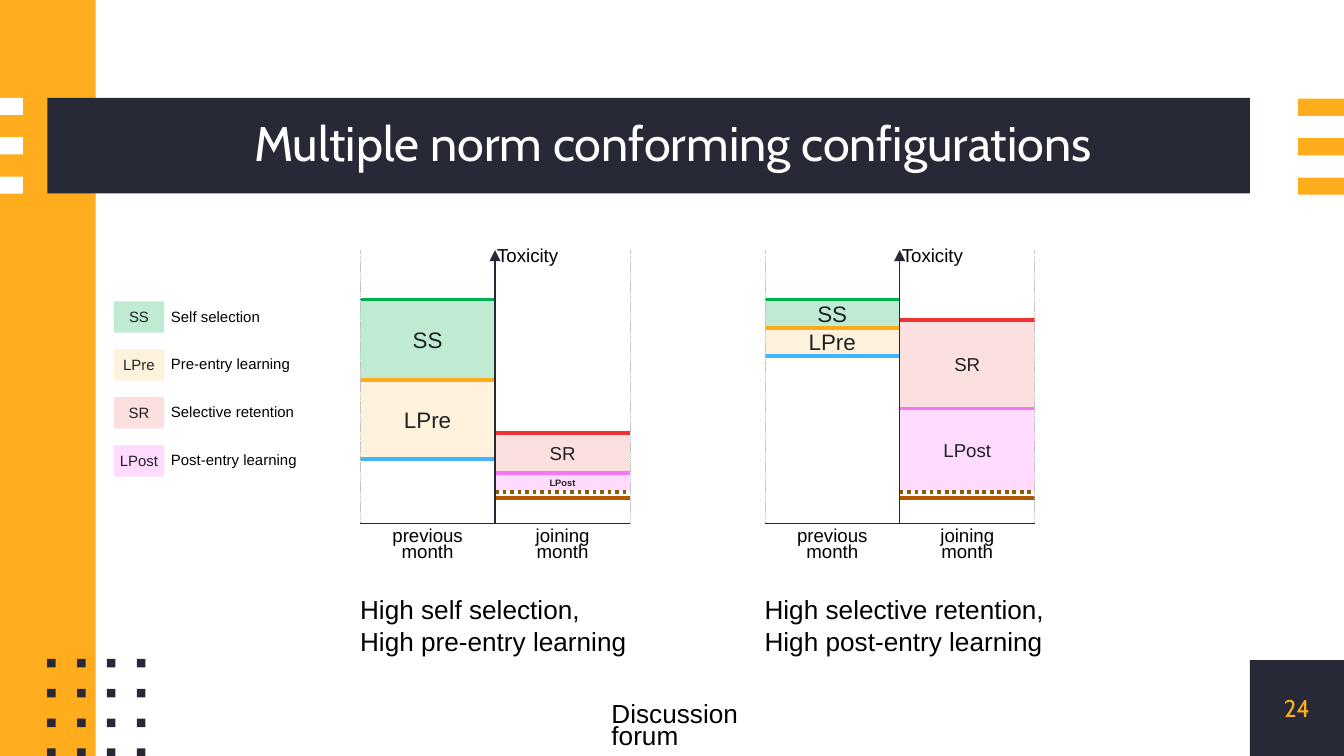
import pptx
import pptx.util
import pptx.dml.color
import pptx.enum.dml
import pptx.enum.shapes
import pptx.enum.text
import pptx.oxml
import pptx.oxml.ns

Pt = pptx.util.Pt
color = pptx.dml.color.RGBColor.from_string
align = pptx.enum.text.PP_ALIGN
anchor = pptx.enum.text.MSO_ANCHOR
dash = pptx.enum.dml.MSO_LINE
xml_names = pptx.oxml.ns.nsdecls("a")

navy, orange, white, black, ink = "272A36", "FFAD1D", "FFFFFF", "000000", "202125"
band_fills = {"SS": "00B050", "LPre": "FFCE77", "SR": "F68383", "LPost": "FF74FF"}

deck = pptx.Presentation()
deck.slide_width, deck.slide_height = Pt(720), Pt(405)
page = deck.slides.add_slide(deck.slide_layouts[6])


def add_box(place, fill=None, opacity=100, lines=(), size=10, ink=black, font="Arial",
            bold=False, alignment=align.CENTER, spacing=1.0, middle=True, inset=(0, 0), wrap=True):
    lengths = [Pt(value) for value in place]
    if fill:
        box = page.shapes.add_shape(pptx.enum.shapes.MSO_SHAPE.RECTANGLE, *lengths)
        box.shadow.inherit = False
        box.line.fill.background()
        box.fill.solid()
        box.fill.fore_color.rgb = color(fill)
        if opacity < 100:
            tint = box.fill._xPr.find(".//" + pptx.oxml.ns.qn("a:srgbClr"))
            tint.append(pptx.oxml.parse_xml(f'<a:alpha {xml_names} val="{opacity * 1000}"/>'))
    else:
        box = page.shapes.add_textbox(*lengths)
    frame = box.text_frame
    frame_format = {
        "margin_left": Pt(inset[0]), "margin_right": Pt(inset[0]),
        "margin_top": Pt(inset[1]), "margin_bottom": Pt(inset[1]),
        "vertical_anchor": anchor.MIDDLE if middle else anchor.TOP, "word_wrap": wrap,
    }
    for key, value in frame_format.items():
        setattr(frame, key, value)
    for index, line in enumerate(lines):
        para = frame.add_paragraph() if index else frame.paragraphs[0]
        para.alignment, para.line_spacing = alignment, spacing
        span = para.add_run()
        span.text = line
        for key, value in {"size": Pt(size), "name": font, "bold": bold}.items():
            setattr(span.font, key, value)
        span.font.color.rgb = color(ink)


def add_line(start, end, stroke, width, style=None, arrow=False):
    line = page.shapes.add_connector(
        pptx.enum.shapes.MSO_CONNECTOR.STRAIGHT, *[Pt(value) for value in (*start, *end)])
    line.line.color.rgb = color(stroke)
    line.line.width = Pt(width)
    if style:
        line.line.dash_style = style
    if arrow:
        line.line._get_or_add_ln().append(
            pptx.oxml.parse_xml(f'<a:tailEnd {xml_names} type="triangle"/>'))
    line._element.spPr.append(pptx.oxml.parse_xml(f"<a:effectLst {xml_names}/>"))


add_box((0, 0, 51.3, 405), orange)
add_box((25.3, 52.4, 644.3, 51.3), navy)
for row in range(3):
    add_box((0, 52.4 + 21.1 * row, 12.3, 9.2), white)
    add_box((695.4, 52.9 + 21.1 * row, 24.6, 9.2), orange)
for row in range(4):
    for column in range(4):
        add_box((25.3 + 16 * column, 353 + 16 * row, 4.6, 4.6), navy)

add_box((51.8, 52.4, 617.8, 51.3), lines=["Multiple norm conforming configurations"],
        size=26, ink=white, font="Cabin", spacing=0.9)
add_box((669.6, 353.6, 50.4, 51.4), navy, lines=["24"], size=13, ink=orange, font="Cabin")

top, bottom, half = 134, 280.6, 72.3
charts = [
    {"left": 192.9, "pre": (160.5, 203.5, 246), "post": (232.1, 253.4, 263.6),
     "post_text": ((10, False), (5, True)),
     "caption": ["High self selection,", "High pre-entry learning"],
     "caption_place": (185.8, 314.6, 157.7, 41)},
    {"left": 409.7, "pre": (160.5, 175.8, 190.7), "post": (171.6, 218.9, 263.6),
     "post_text": ((10, False), (10, False)),
     "caption": ["High selective retention,", "High post-entry learning"],
     "caption_place": (402.5, 314.6, 169.2, 41)},
]
for chart in charts:
    left = chart["left"]
    axis, right = left + half, left + 2 * half
    columns = [
        (left, chart["pre"], ("SS", "LPre"), ((12, False), (12, False)),
         ("00B050", "FFAB17", "41B5FF"), ["previous", "month"]),
        (axis, chart["post"], ("SR", "LPost"), chart["post_text"],
         ("F03131", "F575FB", "8E5A00"), ["joining", "month"]),
    ]
    for start, levels, names, texts, strokes, months in columns:
        for name, (size, bold), upper, lower in zip(names, texts, levels, levels[1:]):
            add_box((start, upper + 0.7, half, lower - upper - 1.4), band_fills[name], 25,
                    [name], size, ink, bold=bold)
        for level, stroke in zip(levels, strokes):
            style = dash.ROUND_DOT if stroke == "8E5A00" else None
            add_line((start, level), (start + half, level), stroke, 2, style)
        add_box((start, 283.9, half, 17.3), lines=months, spacing=0.7, middle=False)
    add_line((axis, 266.6), (right, 266.6), "B05900", 2)
    for edge in (left, right):
        add_line((edge, top), (edge, bottom), "C4C4C4", 0.25, dash.SQUARE_DOT)
    add_line((left, bottom), (right, bottom), navy, 0.75)
    add_line((axis, bottom), (axis, top), navy, 0.75, arrow=True)
    add_box((axis + 1.2, top, 55.4, 8.6), lines=["Toxicity"], alignment=align.LEFT,
            spacing=0.7, middle=False)
    add_box(chart["caption_place"], lines=chart["caption"], size=14, alignment=align.LEFT,
            middle=False, inset=(7.2, 3.6), wrap=False)

legend = [("SS", "Self selection", 62.6), ("LPre", "Pre-entry learning", 79.2),
          ("SR", "Selective retention", 81.4), ("LPost", "Post-entry learning", 82.8)]
for row, (name, label, width) in enumerate(legend):
    y = 161.4 + 25.7 * row
    add_box((61, y, 26.9, 16.8), band_fills[name], 25, [name], 8, ink)
    add_box((84.5, y - 0.4, width, 17.3), lines=[label], size=8, alignment=align.LEFT,
            middle=False, inset=(7.2, 3.6), wrap=False)

add_box((327.6, 378, 98.6, 12.2), lines=["Discussion forum"], size=14, alignment=align.LEFT,
        spacing=0.7, middle=False, wrap=False)

deck.save("out.pptx")
